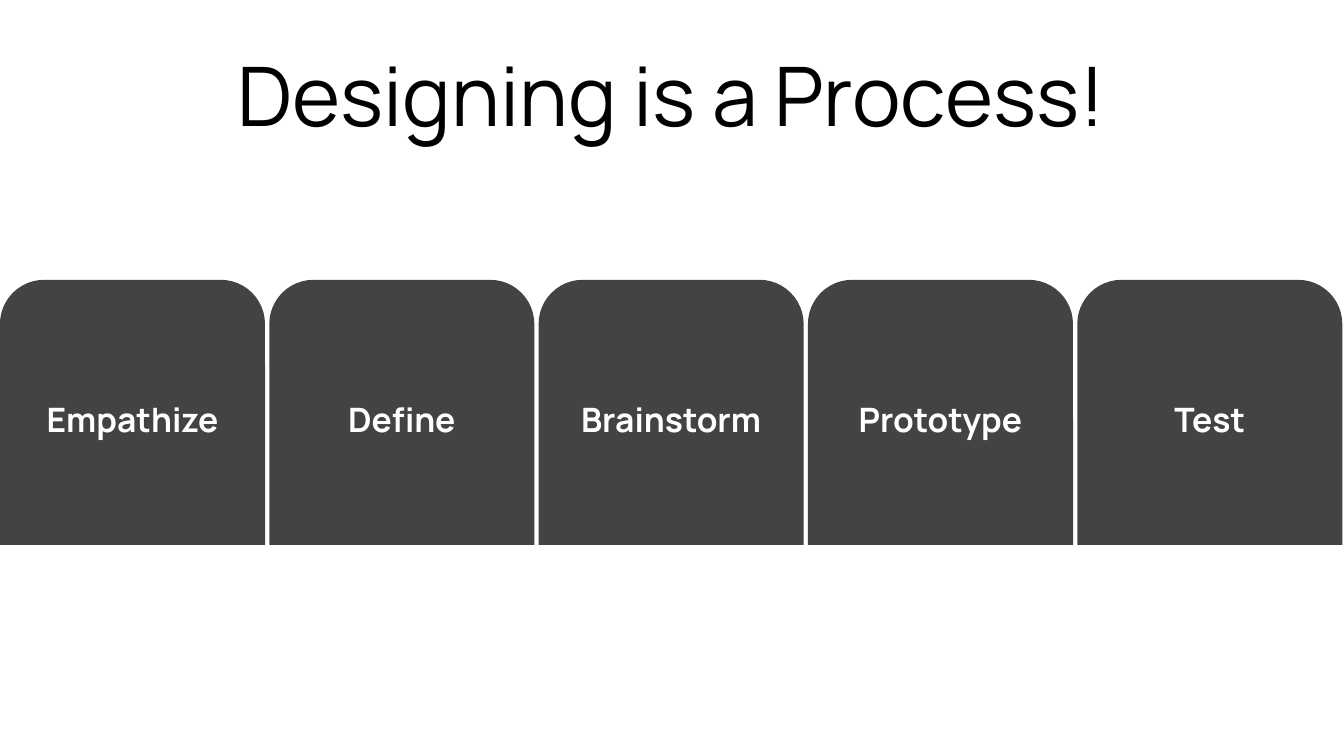
"""Build a slide showing the five stages of the design process."""
from dataclasses import dataclass

from pptx import Presentation
from pptx.dml.color import RGBColor
from pptx.enum.shapes import MSO_SHAPE
from pptx.enum.text import MSO_ANCHOR, PP_ALIGN
from pptx.slide import Slide
from pptx.text.text import TextFrame
from pptx.util import Cm, Pt

COLORS = {"title": "000000", "stage": "434343", "label": "FFFFFF"}
TITLE_FONT = {"name": "Manrope", "size": Pt(44), "bold": False}
LABEL_FONT = {"name": "Manrope", "size": Pt(18), "bold": True}
STAGE_NAMES = ["Empathize", "Define", "Brainstorm", "Prototype", "Test"]
STAGE_SIZE = Cm(5.01)
STAGE_PITCH = Cm(5.09)
STAGE_TOP = Cm(5.29)


@dataclass
class Stage:
    """A named step and its left edge."""

    name: str
    left: int


def write_text(frame: TextFrame, text: str, font_format: dict, color: str, margin: int) -> None:
    """Write one centred line with the given font and vertical margin."""
    frame_format = {
        "text": text,
        "word_wrap": True,
        "vertical_anchor": MSO_ANCHOR.MIDDLE,
        "margin_left": Cm(0.25),
        "margin_right": Cm(0.25),
        "margin_top": margin,
        "margin_bottom": margin,
    }
    for attribute, value in frame_format.items():
        setattr(frame, attribute, value)
    paragraph = frame.paragraphs[0]
    paragraph.alignment = PP_ALIGN.CENTER
    font = paragraph.runs[0].font
    for attribute, value in font_format.items():
        setattr(font, attribute, value)
    font.color.rgb = RGBColor.from_string(COLORS[color])


def place_title(slide: Slide, text: str) -> None:
    """Move and fill the title placeholder."""
    title = slide.shapes.title
    position = {"left": Cm(1.27), "top": Cm(0.58), "width": Cm(22.86), "height": Cm(2.39)}
    for attribute, value in position.items():
        setattr(title, attribute, value)
    write_text(title.text_frame, text, TITLE_FONT, "title", Cm(0.13))


def draw_stages(slide: Slide, stages: list[Stage]) -> None:
    """Draw the stages as one group of round-topped squares."""
    group = slide.shapes.add_group_shape()
    for stage in stages:
        shape = group.shapes.add_shape(
            MSO_SHAPE.ROUND_2_SAME_RECTANGLE, stage.left, STAGE_TOP, STAGE_SIZE, STAGE_SIZE
        )
        shape.shadow.inherit = False
        shape.fill.solid()
        shape.fill.fore_color.rgb = RGBColor.from_string(COLORS["stage"])
        shape.line.fill.background()
        write_text(shape.text_frame, stage.name, LABEL_FONT, "label", Cm(0.25))


def main() -> None:
    """Create and save the presentation."""
    presentation = Presentation()
    presentation.slide_width = Cm(25.4)
    presentation.slide_height = Cm(14.29)
    slide = presentation.slides.add_slide(presentation.slide_layouts[5])
    place_title(slide, "Designing is a Process!")
    stages = [Stage(name, index * STAGE_PITCH) for index, name in enumerate(STAGE_NAMES)]
    draw_stages(slide, stages)
    presentation.save("out.pptx")


if __name__ == "__main__":
    main()
